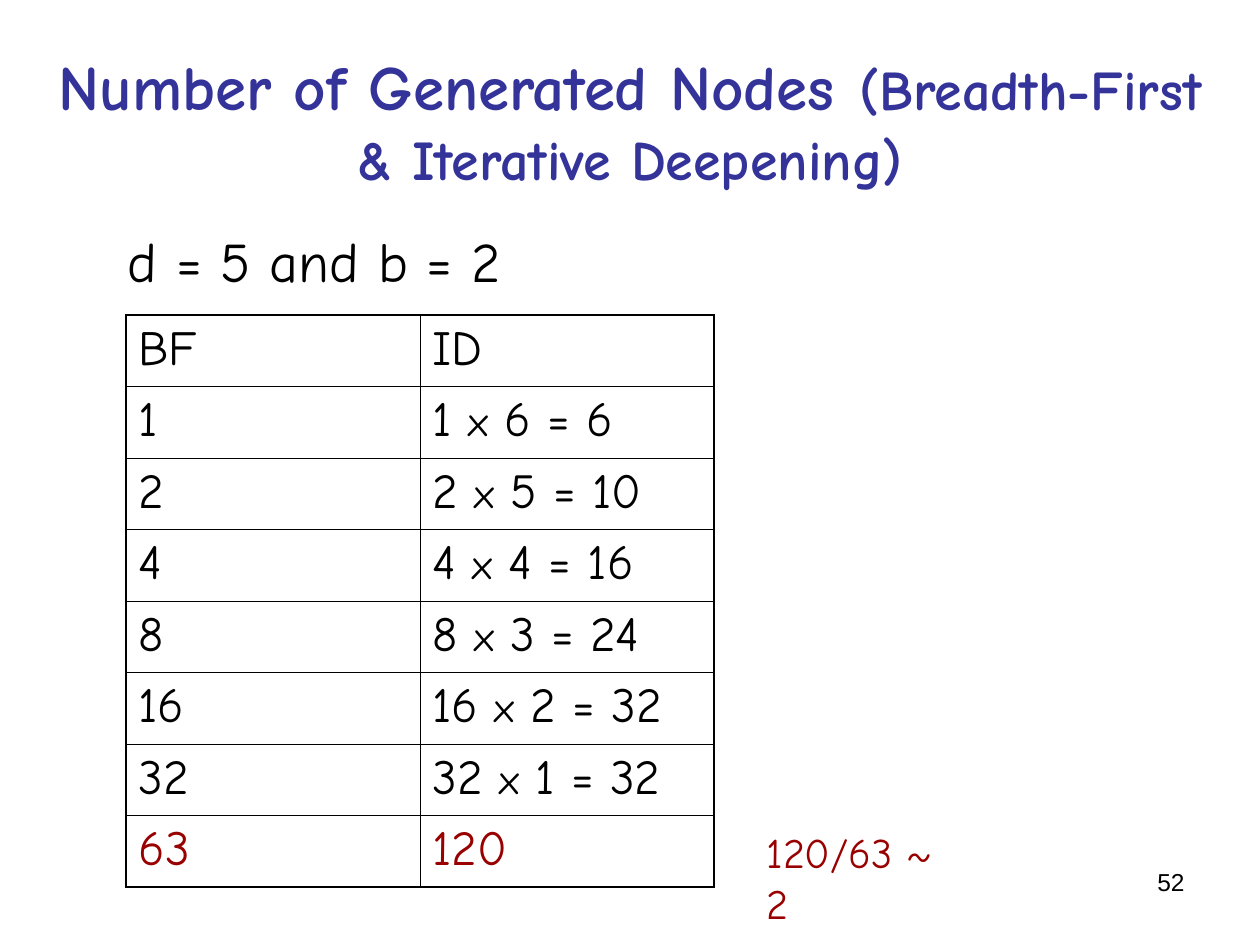
from lxml import etree
from pptx import Presentation
from pptx.dml.color import RGBColor
from pptx.enum.text import MSO_ANCHOR, PP_ALIGN
from pptx.oxml.ns import qn
from pptx.util import Cm, Pt

CENTER, RIGHT, LEFT = PP_ALIGN.CENTER, PP_ALIGN.RIGHT, PP_ALIGN.LEFT
MIDDLE = MSO_ANCHOR.MIDDLE
HAND_FONT, PLAIN_FONT = "Comic Neue", "Arial"
BLACK, RED, BLUE = "000000", "990000", "333399"
OUTER_LINE, INNER_LINE = Pt(1.08), Pt(0.45)

BREADTH_FIRST = [1, 2, 4, 8, 16, 32]


def colour(value):
    return RGBColor.from_string(value)


def format_para(para, size, value, name=HAND_FONT, align=LEFT, bold=False):
    para.alignment = align
    font = para.font
    font.size, font.name, font.bold = Pt(size), name, bold
    font.color.rgb = colour(value)


def add_runs(para, parts):
    for text, size in parts:
        span = para.add_run()
        span.text = text
        if size:
            span.font.size = Pt(size)


def place_title(page, box):
    title = page.shapes.title
    title.left, title.top, title.width, title.height = map(Cm, box)
    frame = title.text_frame
    frame.vertical_anchor = MIDDLE
    frame.word_wrap = True
    para = frame.paragraphs[0]
    add_runs(para, [("Number of Generated Nodes", 36), (" ", 40),
                    ("(Breadth-First & Iterative Deepening)", None)])
    format_para(para, 32, BLUE, align=CENTER, bold=True)


def place_text(page, box, text, size, value, name=HAND_FONT, align=LEFT, wrap=True):
    frame = page.shapes.add_textbox(*map(Cm, box)).text_frame
    frame.word_wrap = wrap
    para = frame.paragraphs[0]
    para.text = text
    format_para(para, size, value, name, align)


def draw_borders(cell, widths):
    properties = cell._tc.get_or_add_tcPr()
    for side, width in zip("LRTB", widths):
        line = etree.SubElement(properties, qn(f"a:ln{side}"), w=str(width))
        fill = etree.SubElement(line, qn("a:solidFill"))
        etree.SubElement(fill, qn("a:srgbClr"), val=BLACK)


def place_table(page, box):
    depth = len(BREADTH_FIRST)
    products = [(count, depth - level) for level, count in enumerate(BREADTH_FIRST)]
    deepening = [count * times for count, times in products]
    rows = [("BF", "ID")]
    rows += [(str(count), f"{count} x {times} = {count * times}") for count, times in products]
    rows.append((str(sum(BREADTH_FIRST)), str(sum(deepening))))

    table = page.shapes.add_table(len(rows), 2, *map(Cm, box)).table
    table.first_row = table.horz_banding = False
    last = len(rows) - 1
    for r, row in enumerate(rows):
        for c, text in enumerate(row):
            cell = table.cell(r, c)
            outer = (c == 0, c == 1, r == 0, r == last)
            draw_borders(cell, [OUTER_LINE if edge else INNER_LINE for edge in outer])
            cell.fill.background()
            para = cell.text_frame.paragraphs[0]
            before, times, after = text.partition("x")
            parts = [(before, None), (times, 24), (after, None)]
            add_runs(para, [part for part in parts if part[0]])
            format_para(para, 28, RED if r == last else BLACK)


def main():
    deck = Presentation()
    deck.slide_width, deck.slide_height = Cm(25.4), Cm(19.05)
    page = deck.slides.add_slide(deck.slide_layouts[5])
    place_text(page, (2.33, 4.45, 21.59, 1.6), "d = 5 and b = 2", 32, BLACK)
    place_table(page, (2.54, 6.35, 11.85, 11.5))
    place_text(page, (15.2, 16.54, 4.57, 1.27), "120/63 ~ 2", 24, RED, wrap=False)
    place_title(page, (0.64, 0.76, 24.13, 3.18))
    place_text(page, (18.2, 17.35, 5.93, 1.32), "52", 14, BLACK, PLAIN_FONT, RIGHT)
    deck.save("out.pptx")


if __name__ == "__main__":
    main()
